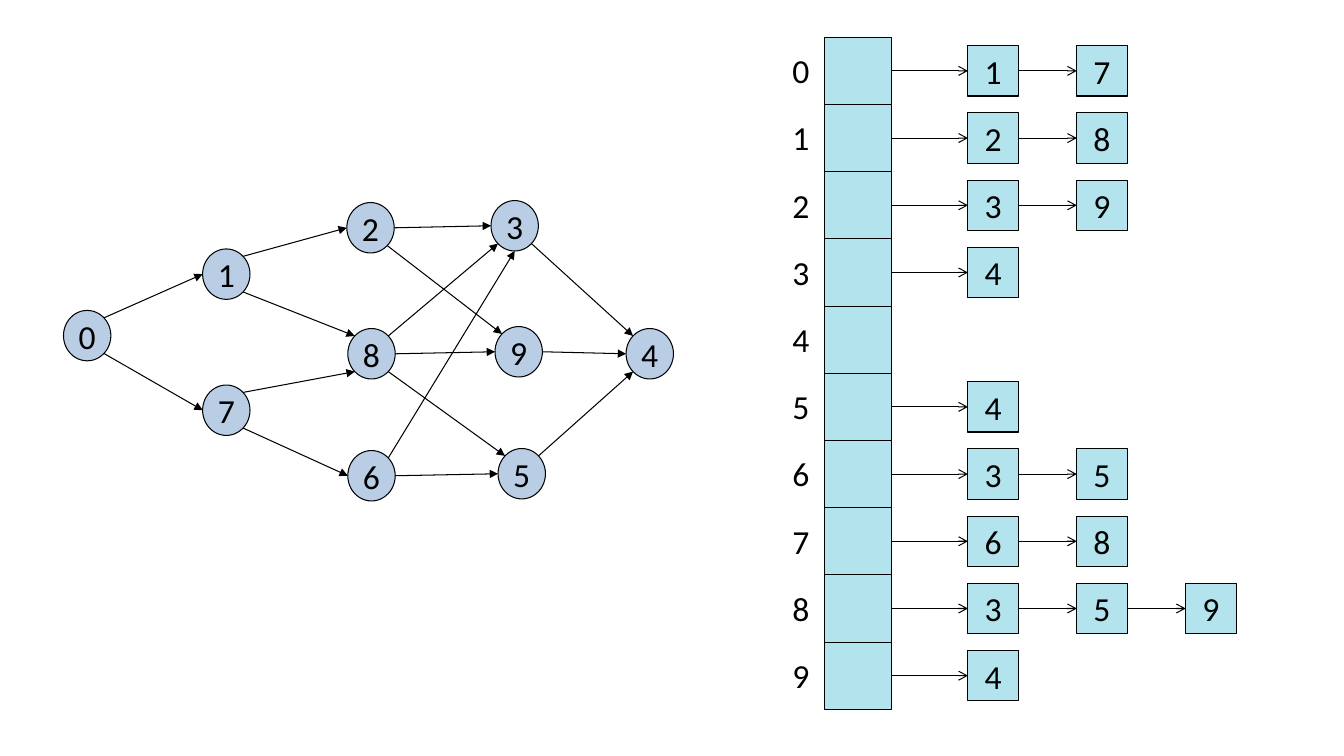
from math import sqrt

from lxml import etree
from pptx import Presentation
from pptx.dml.color import RGBColor
from pptx.enum import shapes, text
from pptx.oxml.ns import qn
from pptx.util import Inches, Pt

COLORS = {"node": "B9CDE5", "cell": "B3E3ED", "ink": "000000"}
FONT = "Calibri"

# Left and top of each graph node
NODES = {
    0: (0.63, 3.08), 1: (2.01, 2.47), 2: (3.44, 2.01), 3: (4.87, 1.99),
    4: (6.21, 3.26), 5: (4.94, 4.45), 6: (3.45, 4.47), 7: (2.01, 3.82),
    8: (3.45, 3.26), 9: (4.91, 3.24),
}
# Successors of each node, with the compass points where the edge leaves and arrives
ADJACENCY = {
    0: {1: ("NE", "W"), 7: ("SE", "W")},
    1: {2: ("NE", "W"), 8: ("SE", "NW")},
    2: {3: ("E", "W"), 9: ("SE", "NW")},
    3: {4: ("SE", "NW")},
    4: {},
    5: {4: ("NE", "SW")},
    6: {3: ("NE", "S"), 5: ("E", "W")},
    7: {6: ("SE", "W"), 8: ("NE", "SW")},
    8: {3: ("NE", "SW"), 5: ("SE", "NW"), 9: ("E", "W")},
    9: {4: ("E", "W")},
}
NODE_WIDTH, NODE_HEIGHT = 0.47, 0.5

SLOT_LEFT, SLOT_TOP, SLOT_SIZE = 8.18, 0.37, 2 / 3
LABEL_LEFT, LABEL_WIDTH, LABEL_HEIGHT = 7.76, 0.37, 0.51
ENTRY_LEFT, ENTRY_STEP, ENTRY_SIZE = 9.6, 1.08, 0.5
RIGHT_SIDE, LEFT_SIDE = 3, 1


def color(name):
    return RGBColor.from_string(COLORS[name])


def write(shape, content, size=24, align=text.PP_ALIGN.CENTER, anchor=text.MSO_ANCHOR.MIDDLE):
    frame = shape.text_frame
    frame.word_wrap = False
    frame.vertical_anchor = anchor
    paragraph = frame.paragraphs[0]
    paragraph.alignment = align
    run = paragraph.add_run()
    run.text = str(content)
    run.font.name = FONT
    run.font.size = Pt(size)
    run.font.color.rgb = color("ink")


def add_outlined(slide, kind, fill, *box):
    shape = slide.shapes.add_shape(kind, *map(Inches, box))
    shape.shadow.inherit = False
    shape.fill.solid()
    shape.fill.fore_color.rgb = color(fill)
    shape.line.color.rgb = color("ink")
    shape.line.width = Pt(0.75)
    return shape


def add_arrow(slide, head, start=(0, 0), end=(0, 0)):
    arrow = slide.shapes.add_connector(
        shapes.MSO_CONNECTOR.STRAIGHT, *map(Inches, (*start, *end)))
    arrow.line.color.rgb = color("ink")
    arrow.line.width = Pt(0.75)
    etree.SubElement(arrow.line._get_or_add_ln(), qn("a:tailEnd"), type=head)
    etree.SubElement(arrow._element.spPr, qn("a:effectLst"))
    return arrow


def rim_point(node, compass):
    """Point on the node's ellipse in the given compass direction."""
    left, top = NODES[node]
    across = ("E" in compass) - ("W" in compass)
    down = ("S" in compass) - ("N" in compass)
    length = sqrt(len(compass))
    return (left + NODE_WIDTH / 2 * (1 + across / length),
            top + NODE_HEIGHT / 2 * (1 + down / length))


def draw_graph(slide):
    for node, (left, top) in NODES.items():
        ellipse = add_outlined(slide, shapes.MSO_SHAPE.OVAL, "node",
                               left, top, NODE_WIDTH, NODE_HEIGHT)
        write(ellipse, node)
    for source, targets in ADJACENCY.items():
        for target, (leaves, arrives) in targets.items():
            add_arrow(slide, "triangle", rim_point(source, leaves), rim_point(target, arrives))


def draw_adjacency_lists(slide):
    for row, (node, targets) in enumerate(ADJACENCY.items()):
        top = SLOT_TOP + row * SLOT_SIZE
        previous = add_outlined(slide, shapes.MSO_SHAPE.RECTANGLE, "cell",
                                SLOT_LEFT, top, SLOT_SIZE, SLOT_SIZE)
        label = slide.shapes.add_textbox(
            *map(Inches, (LABEL_LEFT, top + (SLOT_SIZE - LABEL_HEIGHT) / 2,
                          LABEL_WIDTH, LABEL_HEIGHT)))
        write(label, node, align=text.PP_ALIGN.LEFT, anchor=text.MSO_ANCHOR.TOP)
        for column, target in enumerate(targets):
            entry = add_outlined(slide, shapes.MSO_SHAPE.RECTANGLE, "cell",
                                 ENTRY_LEFT + column * ENTRY_STEP,
                                 top + (SLOT_SIZE - ENTRY_SIZE) / 2, ENTRY_SIZE, ENTRY_SIZE)
            write(entry, target)
            arrow = add_arrow(slide, "arrow")
            arrow.begin_connect(previous, RIGHT_SIDE)
            arrow.end_connect(entry, LEFT_SIDE)
            previous = entry


def main():
    presentation = Presentation()
    presentation.slide_width = Inches(13.33)
    presentation.slide_height = Inches(7.5)
    slide = presentation.slides.add_slide(presentation.slide_layouts[6])
    draw_graph(slide)
    draw_adjacency_lists(slide)
    presentation.save("out.pptx")


if __name__ == "__main__":
    main()
